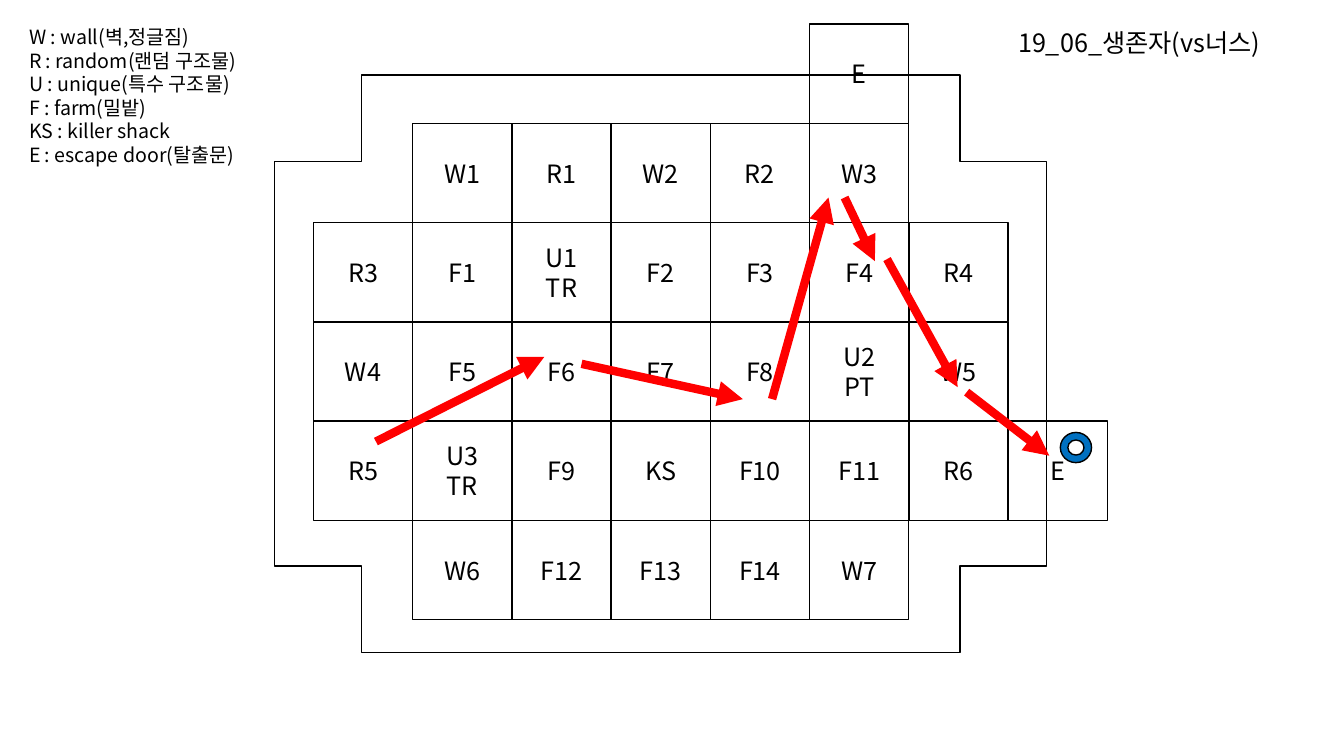
from lxml.etree import SubElement
from pptx import Presentation
from pptx.dml.color import RGBColor
from pptx.enum.shapes import MSO_CONNECTOR, MSO_SHAPE
from pptx.enum.text import MSO_ANCHOR, PP_ALIGN
from pptx.oxml.ns import qn
from pptx.util import Pt

FONT = "Noto Sans CJK KR"
COLORS = {"ink": "000000", "paper": "FFFFFF", "route": "FF0000", "marker": "0070C0"}
CELL = 70.88
LEGEND = [
    "W : wall(벽,정글짐)",
    "R : random(랜덤 구조물)",
    "U : unique(특수 구조물)",
    "F : farm(밀밭)",
    "KS : killer shack\vE : escape door(탈출문)",
]
MAP_ROWS = [
    ["", "", "", "", "", "E", "", ""],
    ["", "W1", "R1", "W2", "R2", "W3", "", ""],
    ["R3", "F1", "U1\vTR", "F2", "F3", "F4", "R4", ""],
    ["W4", "F5", "F6", "F7", "F8", "U2\vPT", "W5", ""],
    ["R5", "U3\vTR", "F9", "KS", "F10", "F11", "R6", "E"],
    ["", "W6", "F12", "F13", "F14", "W7", "", ""],
]
ROUTE = [
    ((44.6, 298.1), (164.9, 237.6)),
    ((191.5, 242.6), (306.7, 267.8)),
    ((327.6, 267.8), (367.9, 123.8)),
    ((379.4, 123.8), (401, 169.2)),
    ((409.7, 167.8), (460.1, 259.2)),
    ((466.6, 262.8), (525.6, 308.2)),
]


def color(name):
    return RGBColor.from_string(COLORS[name])


def format_text(text_frame, size, alignment):
    text_frame.word_wrap = True
    for paragraph in text_frame.paragraphs:
        paragraph.alignment = alignment
        paragraph.line_spacing = 1
        for run in paragraph.runs:
            run.font.size = Pt(size)
            run.font.name = FONT
            run.font.color.rgb = color("ink")
            east_asian = SubElement(run.font._element, qn("a:ea"))
            east_asian.set("typeface", FONT)


def add_outlined_shape(slide, kind, left, top, width, height, fill=None):
    shape = slide.shapes.add_shape(kind, Pt(left), Pt(top), Pt(width), Pt(height))
    shape.shadow.inherit = False
    shape.line.color.rgb = color("ink")
    shape.line.width = Pt(1)
    if fill:
        shape.fill.solid()
        shape.fill.fore_color.rgb = color(fill)
    else:
        shape.fill.background()
    return shape


def place_title(slide, left, top, width, height):
    title = slide.shapes.title
    title.left, title.top, title.width, title.height = map(Pt, (left, top, width, height))
    title.text_frame.text = "19_06_생존자(vs너스)"
    title.text_frame.vertical_anchor = MSO_ANCHOR.TOP
    format_text(title.text_frame, 18, PP_ALIGN.LEFT)


def add_legend(slide, left, top, width, height):
    legend = slide.shapes.add_textbox(Pt(left), Pt(top), Pt(width), Pt(height))
    legend.text_frame.text = "\n".join(LEGEND)
    format_text(legend.text_frame, 14, PP_ALIGN.LEFT)


def add_boundary(slide, left, top, width, height):
    boundary = add_outlined_shape(slide, MSO_SHAPE.CROSS, left, top, width, height)
    boundary.adjustments[0] = 0.15


def add_map(slide, left, top):
    for row, labels in enumerate(MAP_ROWS):
        for column, label in enumerate(labels):
            if not label:
                continue
            fill = "paper" if label.startswith("U1") else None
            cell = add_outlined_shape(slide, MSO_SHAPE.RECTANGLE, left + column * CELL,
                                      top + row * CELL, CELL, CELL, fill)
            cell.text_frame.text = label
            cell.text_frame.vertical_anchor = MSO_ANCHOR.MIDDLE
            format_text(cell.text_frame, 18, PP_ALIGN.CENTER)


def add_route(slide, left, top):
    for (start_x, start_y), (end_x, end_y) in ROUTE:
        arrow = slide.shapes.add_connector(
            MSO_CONNECTOR.STRAIGHT, Pt(left + start_x), Pt(top + start_y),
            Pt(left + end_x), Pt(top + end_y))
        arrow.line.color.rgb = color("route")
        arrow.line.width = Pt(6)
        SubElement(arrow.line._get_or_add_ln(), qn("a:tailEnd")).set("type", "triangle")
        SubElement(arrow._element.spPr, qn("a:effectLst"))
    add_outlined_shape(slide, MSO_SHAPE.DONUT, left + 533.5, top + 291.6, 22.3, 21.6, "marker")


def main():
    presentation = Presentation()
    presentation.slide_width, presentation.slide_height = Pt(960), Pt(540)
    slide = presentation.slides.add_slide(presentation.slide_layouts[5])
    place_title(slide, 720, 15.84, 224.64, 28.8)
    add_boundary(slide, 196.2, 53.6, 551.5, 412.6)
    add_legend(slide, 13.68, 14.4, 168.48, 108.72)
    add_map(slide, 223.9, 17.3)
    add_route(slide, 223.9, 17.3)
    presentation.save("out.pptx")


if __name__ == "__main__":
    main()
